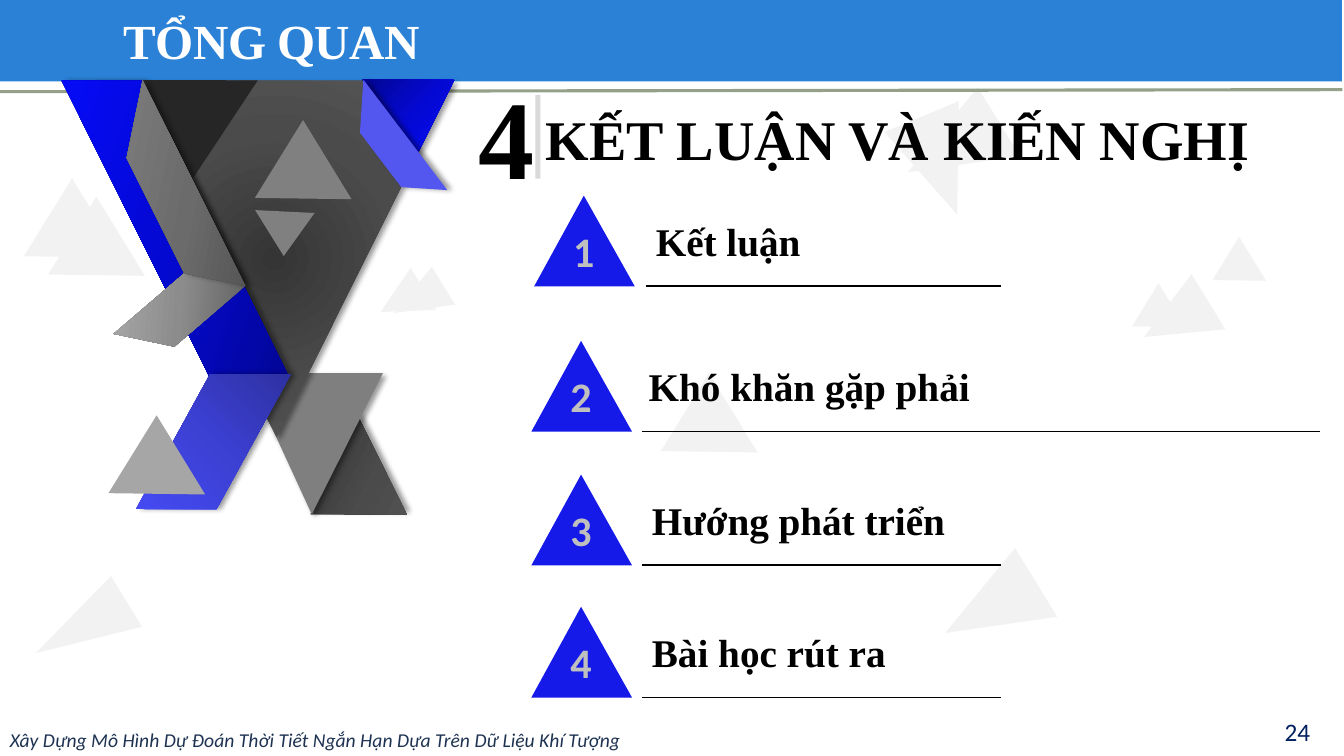
import pptx
import pptx.dml.color
import pptx.enum.shapes
import pptx.enum.text
import pptx.oxml
import pptx.oxml.ns
import pptx.util
from pptx.dml.color import RGBColor
from pptx.enum.shapes import MSO_SHAPE
from pptx.enum.text import MSO_ANCHOR, PP_ALIGN
from pptx.util import Cm, Pt

WHITE = RGBColor(0xFF, 0xFF, 0xFF)
BLACK = RGBColor(0x00, 0x00, 0x00)
HEADER_BLUE = RGBColor(0x2A, 0x81, 0xD6)
HEADER_GREEN = RGBColor(0x94, 0xA0, 0x88)
NUMBER_NAVY = RGBColor(0x00, 0x20, 0x60)
FOOTER_NAVY = RGBColor(0x1E, 0x33, 0x52)
BULLET_BLUE = RGBColor(0x15, 0x1A, 0xE9)
PERIWINKLE = RGBColor(0x53, 0x57, 0xEF)
PALE_GRAY = RGBColor(0xF2, 0xF2, 0xF2)
DIVIDER_GRAY = RGBColor(0xD9, 0xD9, 0xD9)
DIGIT_GRAY = RGBColor(0xBF, 0xBF, 0xBF)
LIGHT_GRAY = RGBColor(0xA6, 0xA6, 0xA6)
MEDIUM_GRAY = RGBColor(0x80, 0x80, 0x80)
FOOT_GRAY = RGBColor(0x7F, 0x7F, 0x7F)
CHARCOAL = RGBColor(0x26, 0x26, 0x26)
DARK_GRADIENT = [RGBColor(0x35, 0x35, 0x35), RGBColor(0x4B, 0x4B, 0x4B), RGBColor(0x59, 0x59, 0x59)]
BLUE_GRADIENT = [RGBColor(0x03, 0x06, 0x93), RGBColor(0x04, 0x09, 0xD2), RGBColor(0x05, 0x0B, 0xF9)]
SOFT_BLUE_GRADIENT = [RGBColor(0x2A, 0x2D, 0x95), RGBColor(0x3C, 0x40, 0xD3), RGBColor(0x47, 0x4C, 0xFB)]
SILVER_GRADIENT = [RGBColor(0x62, 0x62, 0x62), RGBColor(0x8C, 0x8C, 0x8C), RGBColor(0xA6, 0xA6, 0xA6)]
GRAPHITE_GRADIENT = [RGBColor(0x4B, 0x4B, 0x4B), RGBColor(0x6B, 0x6B, 0x6B), RGBColor(0x7F, 0x7F, 0x7F)]
SERIF = "Times New Roman"
SANS = "Calibri"
NAMESPACE = pptx.oxml.ns.nsdecls("a")
TRIANGLE = MSO_SHAPE.ISOSCELES_TRIANGLE
SHARD_ANGLE = 238.5
SHARD_APEX = 0.556


def add_piece(slide, kind, box, color, rotation=0, adjustment=None, flip=None, gradient=None, shadow=None):
    """Draw a borderless shape; box is in cm, gradient an angle or a focus rectangle, shadow an angle."""
    shape = slide.shapes.add_shape(kind, *map(Cm, box))
    properties = shape._element.spPr
    shape.rotation = rotation
    if adjustment is not None:
        shape.adjustments[0] = adjustment
    if flip:
        properties.xfrm.set(flip, "1")
    shape.line.fill.background()
    shape.shadow.inherit = False
    if gradient is None:
        shape.fill.solid()
        shape.fill.fore_color.rgb = color
    else:
        shape.fill.gradient()
        stops = "".join(
            f'<a:gs pos="{index * 50000}"><a:srgbClr val="{stop}"/></a:gs>' for index, stop in enumerate(color))
        if isinstance(gradient, tuple):
            sides = " ".join(f'{side}="{share * 1000}"' for side, share in zip("ltrb", gradient))
            direction = f'<a:path path="circle"><a:fillToRect {sides}/></a:path>'
        else:
            direction = f'<a:lin ang="{gradient * 60000}" scaled="1"/>'
        properties.replace(properties.find(pptx.oxml.ns.qn("a:gradFill")), pptx.oxml.parse_xml(
            f'<a:gradFill {NAMESPACE} rotWithShape="1"><a:gsLst>{stops}</a:gsLst>{direction}</a:gradFill>'))
    if shadow is not None:
        properties.find(pptx.oxml.ns.qn("a:effectLst")).append(pptx.oxml.parse_xml(
            f'<a:outerShdw {NAMESPACE} blurRad="{Pt(4)}" dist="{Pt(3)}" dir="{shadow * 60000}" rotWithShape="0">'
            '<a:srgbClr val="000000"><a:alpha val="40000"/></a:srgbClr></a:outerShdw>'))


def add_text(slide, text, box, size, color, font_name, bold=False, italic=False,
             alignment=PP_ALIGN.LEFT, anchor=MSO_ANCHOR.TOP):
    frame = slide.shapes.add_textbox(*map(Cm, box)).text_frame
    frame.word_wrap = True
    frame.vertical_anchor = anchor
    paragraph = frame.paragraphs[0]
    paragraph.text = text
    paragraph.alignment = alignment
    font = paragraph.font
    font.name, font.size, font.bold, font.italic = font_name, Pt(size), bold, italic
    font.color.rgb = color


presentation = pptx.Presentation()
presentation.slide_width = Cm(33.87)
presentation.slide_height = Cm(19.05)
slide = presentation.slides.add_slide(presentation.slide_layouts[5])

# Header band and title
add_piece(slide, MSO_SHAPE.RECTANGLE, (-0.05, -0.03, 33.87, 2.08), HEADER_BLUE)
title = slide.shapes.title
title.left, title.top, title.width, title.height = Cm(2.87), Cm(0.15), Cm(28.02), Cm(1.73)
slide.shapes._spTree.append(title._element)
title.text_frame.vertical_anchor = MSO_ANCHOR.BOTTOM
title_paragraph = title.text_frame.paragraphs[0]
title_run = title_paragraph.add_run()
title_run.text = "TỔNG QUAN"
title_run._r.get_or_add_rPr().set("spc", "-50")
title_paragraph.alignment = PP_ALIGN.LEFT
title_paragraph.line_spacing = 0.85
title_paragraph.font.name = SERIF
title_paragraph.font.size = Pt(35)
title_paragraph.font.bold = True
title_paragraph.font.color.rgb = WHITE

# Pale background shards
shards = [
    (28.4, 7.42, 1.3, 1.14), (28.85, 7.16, 1.63, 1.85), (16.43, 9.91, 2.34, 2.06),
    (23.04, 2.44, 2.03, 2.62), (1.32, 14.53, 1.5, 2.62), (23.98, 14.05, 2.03, 2.62),
    (0.38, 5, 2.34, 2.06), (0.99, 5.46, 2.34, 2.06), (9.53, 6.99, 1.24, 1.22),
    (10.01, 6.86, 1.12, 1.42), (30.43, 6.25, 1.3, 1.14),
]
add_piece(slide, TRIANGLE, (22.71, 2.84, 2.03, 2.62), PALE_GRAY, rotation=157.5, adjustment=SHARD_APEX)
for shard in shards:
    add_piece(slide, TRIANGLE, shard, PALE_GRAY, rotation=SHARD_ANGLE, adjustment=SHARD_APEX)

# Agenda rows: text, top, triangle left, text left, line start, line end
rows = [
    ("Kết luận", 4.93, 13.46, 16.28, 16.28, 25.22),
    ("Khó khăn gặp phải", 8.59, 13.39, 16.1, 16.18, 33.27),
    ("Hướng phát triển", 11.96, 13.39, 16.18, 16.18, 25.22),
    ("Bài học rút ra", 15.29, 13.39, 16.18, 16.18, 25.22),
]
rules = [(0, 2.31, 33.83, 2.26, HEADER_GREEN, 2.25)]
for number, (text, top, triangle_left, text_left, start, end) in enumerate(rows, 1):
    add_piece(slide, TRIANGLE, (triangle_left, top, 2.54, 2.29), BULLET_BLUE, adjustment=0.494)
    add_text(slide, str(number), (triangle_left + 0.66, top + 0.62, 1.19, 1.55), 30, DIGIT_GRAY, SANS,
             bold=True, alignment=PP_ALIGN.CENTER)
    add_text(slide, text, (text_left, top + 0.41, 15.52, 1.45), 28, BLACK, SERIF, bold=True)
    rules.append((start, top + 2.28, end, top + 2.28, BLACK, 1))

for *ends, color, width in rules:
    rule = slide.shapes.add_connector(pptx.enum.shapes.MSO_CONNECTOR.STRAIGHT, *map(Cm, ends))
    rule.line.color.rgb = color
    rule.line.width = Pt(width)
    rule._element.spPr.append(pptx.oxml.parse_xml(f"<a:effectLst {NAMESPACE}/>"))

# Folded ribbon
add_piece(slide, TRIANGLE, (8.05, 11.13, 2.72, 2.18), DARK_GRADIENT,
          rotation=116.4, adjustment=0.609, gradient=270, shadow=315)
add_piece(slide, TRIANGLE, (6.22, 9.4, 3.43, 3.56), FOOT_GRAY, rotation=180, adjustment=0.523, shadow=45)
add_piece(slide, TRIANGLE, (2.36, 2.03, 9.09, 8.97), DARK_GRADIENT,
          rotation=180, adjustment=0.493, gradient=(50, 50, 50, 50), shadow=45)
add_piece(slide, MSO_SHAPE.PARALLELOGRAM, (-0.18, 4.85, 9.19, 1.8), BLUE_GRADIENT,
          rotation=63.5, adjustment=0.498, gradient=135, shadow=0)
add_piece(slide, MSO_SHAPE.PARALLELOGRAM, (2.95, 10.24, 4.85, 1.78), SOFT_BLUE_GRADIENT,
          rotation=298.8, adjustment=0.546, flip="flipV", gradient=(100, 0, 0, 100), shadow=0)
add_piece(slide, MSO_SHAPE.PARALLELOGRAM, (2.87, 7.19, 3.3, 1.24), SILVER_GRADIENT,
          rotation=319.4, adjustment=0.768, flip="flipV", gradient=135)
add_piece(slide, TRIANGLE, (3.99, 1.4, 2.79, 2.59), CHARCOAL, rotation=63.6, adjustment=0.462)
add_piece(slide, MSO_SHAPE.DIAGONAL_STRIPE, (3.1, 2.34, 3.58, 4.55), GRAPHITE_GRADIENT,
          rotation=191.6, adjustment=0.562, flip="flipH", gradient=180, shadow=0)
add_piece(slide, TRIANGLE, (9.14, 2.01, 2.31, 1.85), BLUE_GRADIENT,
          rotation=180, adjustment=0.398, gradient=(0, 0, 100, 100))
add_piece(slide, MSO_SHAPE.DIAGONAL_STRIPE, (9.07, 2.08, 2.29, 2.64), PERIWINKLE,
          rotation=183.7, adjustment=0.493, flip="flipH", shadow=0)
add_piece(slide, TRIANGLE, (6.4, 5.33, 1.5, 1.12), MEDIUM_GRAY, rotation=182.8, adjustment=0.483)
add_piece(slide, TRIANGLE, (6.2, 3.53, 2.34, 2.06), MEDIUM_GRAY, rotation=SHARD_ANGLE, adjustment=SHARD_APEX)
add_piece(slide, TRIANGLE, (2.51, 10.97, 2.34, 2.06), LIGHT_GRAY, rotation=SHARD_ANGLE, adjustment=SHARD_APEX)

# Section heading and footer
add_text(slide, "4", (11.81, 1.57, 1.91, 3.68), 80, BLACK, SERIF, bold=True)
add_piece(slide, MSO_SHAPE.RECTANGLE, (13.49, 2.39, 0.13, 2.11), DIVIDER_GRAY)
add_text(slide, "KẾT LUẬN VÀ KIẾN NGHỊ", (13.51, 2.51, 18.77, 1.96), 40, BLACK, SERIF, bold=True)
add_text(slide, "Xây Dựng Mô Hình Dự Đoán Thời Tiết Ngắn Hạn Dựa Trên Dữ Liệu Khí Tượng",
         (0, 18.21, 25.98, 0.81), 14, FOOTER_NAVY, SANS, italic=True)
add_text(slide, "24", (29.64, 18.03, 3.63, 0.81), 18, NUMBER_NAVY, SANS,
         alignment=PP_ALIGN.RIGHT, anchor=MSO_ANCHOR.MIDDLE)

presentation.save("out.pptx")
